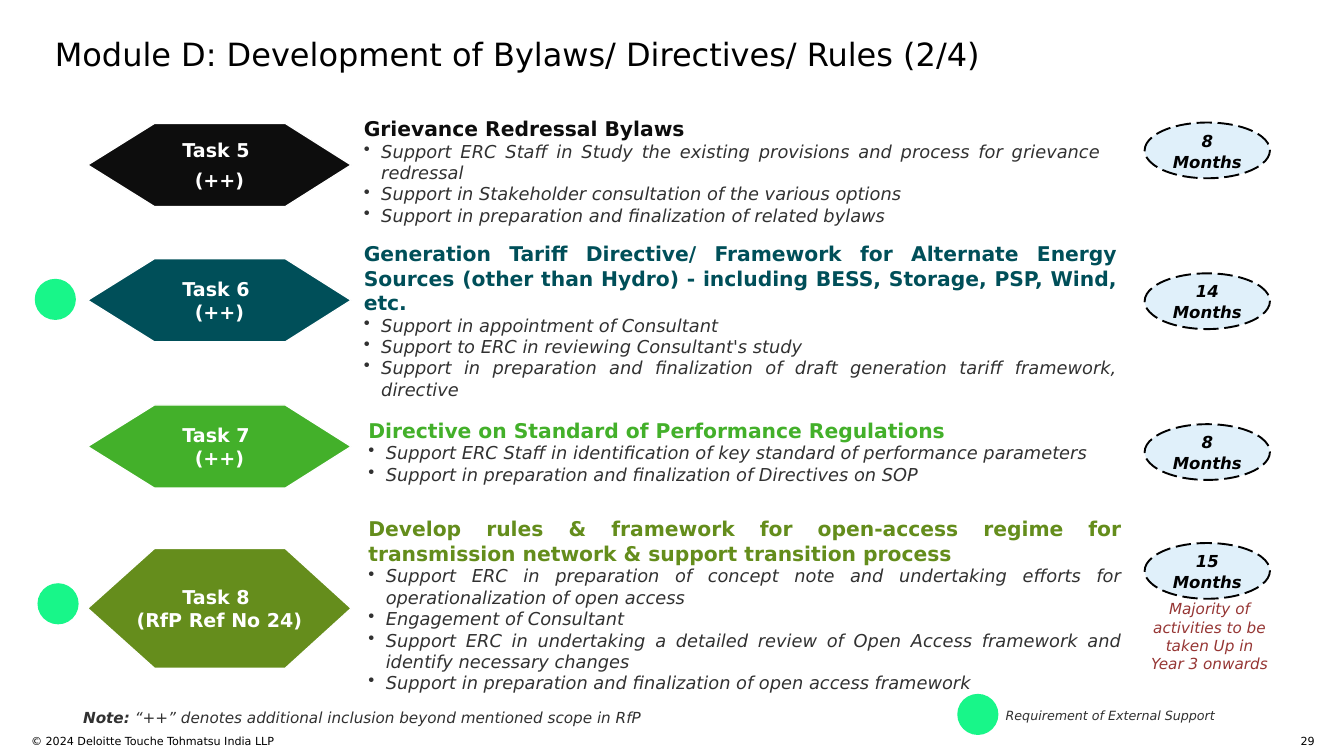
from pptx import Presentation
from pptx.dml.color import RGBColor
from pptx.enum.dml import MSO_LINE
from pptx.enum.shapes import MSO_SHAPE as Shape
from pptx.enum.text import MSO_ANCHOR as Anchor, PP_ALIGN as Align
from pptx.oxml.ns import qn
from pptx.util import Inches, Pt
from lxml import etree

FONT = "DejaVu Sans"
GREY, BLACK, WHITE, MINT = "313131", "000000", "FFFFFF", "18F689"

deck = Presentation()
deck.slide_width, deck.slide_height = Inches(14.7), Inches(8.27)
page = deck.slides.add_slide(deck.slide_layouts[6])


def paint(target, color):
    if hasattr(target, "solid"):
        target.solid()
        target = target.fore_color
    else:
        target = target.color
    target.rgb = RGBColor.from_string(color)


def write(box, lines, align=Align.LEFT, insets=(0, 0), anchor=Anchor.TOP):
    frame = box.text_frame
    frame.word_wrap = True
    frame.vertical_anchor = anchor
    frame.margin_left = frame.margin_right = Inches(insets[0])
    frame.margin_top = frame.margin_bottom = Inches(insets[1])
    for number, spans in enumerate(lines):
        para = frame.add_paragraph() if number else frame.paragraphs[0]
        para.alignment = align
        for text, size, color, bold, italic in spans:
            span = para.add_run()
            span.text = text
            span.font.name, span.font.size = FONT, Pt(size)
            span.font.bold, span.font.italic = bold, italic
            paint(span.font, color)
    return frame.paragraphs


labels = [
    (0.6, 0.38, 13.46, 0.4, Align.LEFT, (0, 0),
     [("Module D: Development of Bylaws/ Directives/ Rules (2/4)", 25.2, BLACK, False, False)]),
    (0.34, 8.03, 6.46, 0.24, Align.LEFT, (0, 0),
     [("© 2024 Deloitte Touche Tohmatsu India LLP", 8.8, BLACK, False, False)]),
    (14.01, 8.03, 0.37, 0.12, Align.RIGHT, (0, 0), [("29", 8.8, BLACK, False, False)]),
    (11, 7.74, 2.84, 0.17, Align.LEFT, (0, 0),
     [("Requirement of External Support", 10, GREY, False, True)]),
    (12.45, 6.51, 1.56, 0.91, Align.CENTER, (0.1, 0.05),
     [("Majority of activities to be taken Up in Year 3 onwards", 12, "963634", False, True)]),
    (0.81, 7.7, 7.35, 0.3, Align.LEFT, (0.1, 0.05),
     [("Note:", 12, GREY, True, True),
      (" “++” denotes additional inclusion beyond mentioned scope in RfP", 12, GREY, False, True)]),
]
for left, top, width, height, align, insets, spans in labels:
    box = page.shapes.add_textbox(Inches(left), Inches(top), Inches(width), Inches(height))
    write(box, [spans], align, insets)

tasks = [
    ("Task 5 ", "(++)", "0D0D0D", "0D0D0D", 1.35, 0.91, 6, (3.98, 1.27, 8.06, 1.21), "8 Months", 1.34,
     "Grievance Redressal Bylaws",
     ["Support ERC Staff in Study the existing provisions and process for grievance redressal",
      "Support in Stakeholder consultation of the various options",
      "Support in preparation and finalization of related bylaws"]),
    ("Task 6 ", "(++)", "004F59", "004F59", 2.83, 0.91, 0, (3.98, 2.64, 8.24, 1.75), "14 Months", 2.99,
     "Generation Tariff Directive/ Framework for Alternate Energy Sources "
     "(other than Hydro) - including BESS, Storage, PSP, Wind, etc.",
     ["Support in appointment of Consultant",
      "Support to ERC in reviewing Consultant's study",
      "Support in preparation and finalization of draft generation tariff framework, directive"]),
    ("Task 7 ", "(++)", "43B02A", "43B02A", 4.43, 0.91, 0, (4.03, 4.57, 8.24, 0.74), "8 Months", 4.64,
     "Directive on Standard of Performance Regulations",
     ["Support ERC Staff in identification of key standard of performance parameters",
      "Support in preparation and finalization of Directives on SOP"]),
    ("Task 8 ", "(RfP Ref No 24)", "658D1C", "648D1C", 6, 1.31, 0, (4.03, 5.65, 8.24, 1.95), "15 Months", 5.94,
     "Develop rules & framework for open-access regime for transmission network "
     "& support transition process",
     ["Support ERC in preparation of concept note and undertaking efforts for "
      "operationalization of open access",
      "Engagement of Consultant",
      "Support ERC in undertaking a detailed review of Open Access framework and "
      "identify necessary changes",
      "Support in preparation and finalization of open access framework"]),
]
for (name, mark, fill, heading_color, top, height, gap, area, months, oval_top,
     heading, actions) in tasks:
    middle, bottom = top + height / 2, top + height
    corners = [(0.96, middle), (1.69, top), (3.12, top), (3.84, middle), (3.12, bottom)]
    outline = page.shapes.build_freeform(Inches(1.69), Inches(bottom))
    outline.add_line_segments([(Inches(x), Inches(y)) for x, y in corners])
    hexagon = outline.convert_to_shape()
    hexagon.shadow.inherit = False
    paint(hexagon.fill, fill)
    paint(hexagon.line, WHITE)
    hexagon.line.width = Pt(1)
    paras = write(hexagon, [[(text, 15, WHITE, True, False)] for text in (name, mark)],
                  Align.CENTER, (0.1, 0.05), Anchor.MIDDLE)
    paras[1].space_before = Pt(gap)

    details = page.shapes.add_textbox(*[Inches(length) for length in area])
    lines = [[(heading, 16, heading_color, True, False)]]
    lines += [[(action, 14, GREY, False, True)] for action in actions]
    for para in write(details, lines, Align.JUSTIFY)[1:]:
        props = para._p.get_or_add_pPr()
        props.set("marL", str(Inches(0.19)))
        props.set("indent", str(-Inches(0.19)))
        etree.SubElement(props, qn("a:buChar")).set("char", "•")

    oval = page.shapes.add_shape(Shape.OVAL, Inches(12.52), Inches(oval_top), Inches(1.37), Inches(0.61))
    oval.shadow.inherit = False
    paint(oval.fill, "E0F0FA")
    paint(oval.line, BLACK)
    oval.line.width = Pt(1.5)
    oval.line.dash_style = MSO_LINE.LONG_DASH
    paras = write(oval, [[(months, 13, BLACK, True, True)]], Align.CENTER, (0.1, 0.1), Anchor.MIDDLE)
    paras[0].line_spacing = 1.06

for left, top in [(0.38, 3.05), (0.41, 6.38), (10.47, 7.59)]:
    dot = page.shapes.add_shape(Shape.OVAL, Inches(left), Inches(top), Inches(0.45), Inches(0.45))
    dot.shadow.inherit = False
    paint(dot.fill, MINT)
    dot.line.fill.background()

deck.save("out.pptx")
